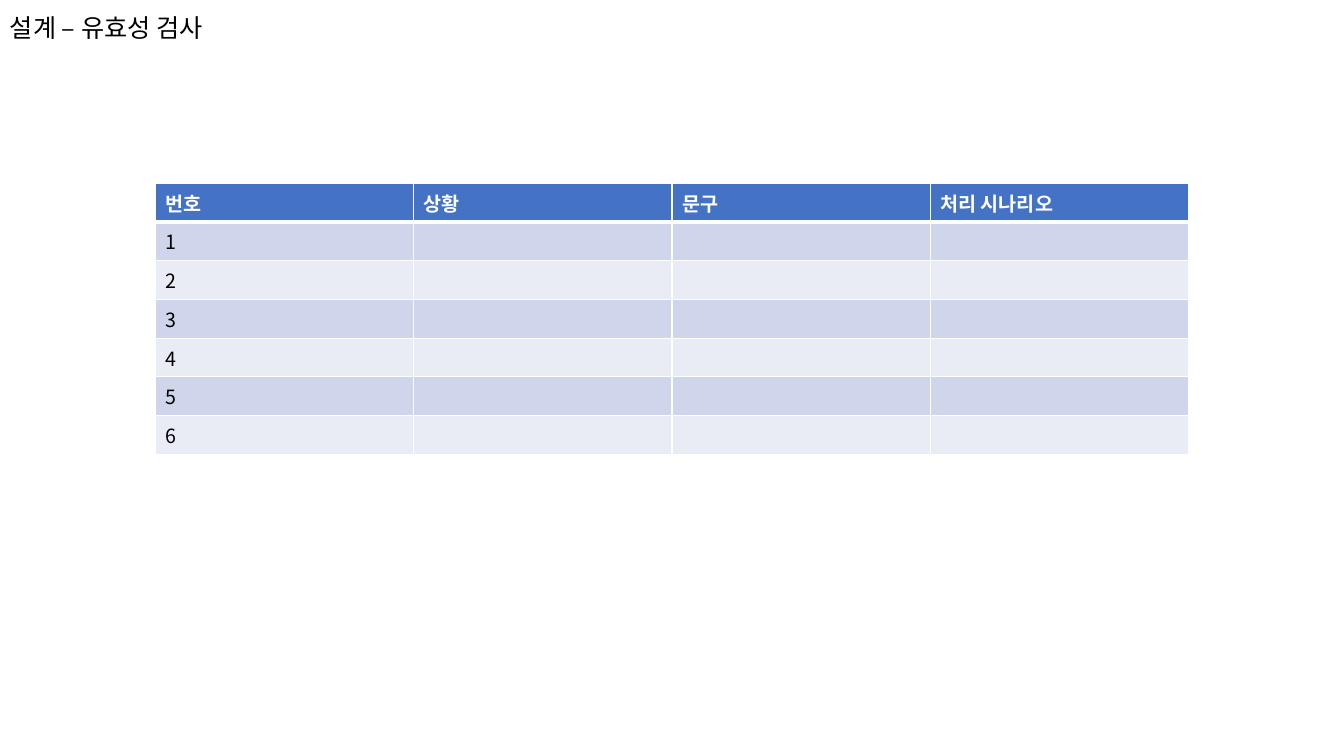
import pptx
import pptx.util
import pptx.dml.color
import pptx.enum.text
import pptx.oxml.ns
from lxml import etree

Pt = pptx.util.Pt
RGBColor = pptx.dml.color.RGBColor
qn = pptx.oxml.ns.qn

WHITE = RGBColor(0xFF, 0xFF, 0xFF)
BLACK = RGBColor(0x00, 0x00, 0x00)
HEADER_BLUE = RGBColor(0x44, 0x72, 0xC4)
BANDS = [RGBColor(0xE9, 0xEB, 0xF5), RGBColor(0xCF, 0xD5, 0xEA)]
FONT = "Noto Sans CJK KR"
HEADINGS = ["번호", "상황", "문구", "처리 시나리오"]
ITEM_COUNT = 6


def write(para, text, size, color, bold=False):
    """Fill a paragraph with one styled run, or size its empty line."""
    if not text:
        etree.SubElement(para._p, qn("a:endParaRPr"), sz=str(size * 100))
        return
    span = para.add_run()
    span.text = text
    for name, value in {"size": Pt(size), "bold": bold, "name": FONT}.items():
        setattr(span.font, name, value)
    span.font.color.rgb = color
    etree.SubElement(span._r.get_or_add_rPr(), qn("a:ea"), typeface=FONT)


def add_borders(cell, widths):
    """Draw white cell borders; widths maps each side to points."""
    for side, width in widths.items():
        line = etree.SubElement(cell._tc.get_or_add_tcPr(), qn("a:ln" + side),
                                w=str(Pt(width)))
        fill = etree.SubElement(line, qn("a:solidFill"))
        etree.SubElement(fill, qn("a:srgbClr"), val=str(WHITE))


deck = pptx.Presentation()
deck.slide_width, deck.slide_height = Pt(960), Pt(540)
page = deck.slides.add_slide(deck.slide_layouts[6])

rows = [HEADINGS] + [[str(number), "", "", ""] for number in range(1, ITEM_COUNT + 1)]
table = page.shapes.add_table(len(rows), len(HEADINGS), Pt(111), Pt(131),
                              Pt(738), Pt(178.5)).table
for column in table.columns:
    column.width = Pt(184.5)

for r, texts in enumerate(rows):
    is_header = r == 0
    table.rows[r].height = Pt(16.6 if is_header else 26)
    for c, text in enumerate(texts):
        cell = table.cell(r, c)
        add_borders(cell, {"L": 1, "R": 1, "T": 3 if r == 1 else 1,
                           "B": 3 if is_header else 1})
        cell.fill.solid()
        cell.fill.fore_color.rgb = HEADER_BLUE if is_header else BANDS[r % 2]
        write(cell.text_frame.paragraphs[0], text, 14,
              WHITE if is_header else BLACK, is_header)

title = page.shapes.add_textbox(Pt(0), Pt(0), Pt(284.4), Pt(42.5)).text_frame
title.word_wrap = True
title.vertical_anchor = pptx.enum.text.MSO_ANCHOR.MIDDLE
title.paragraphs[0].line_spacing = 0.9
write(title.paragraphs[0], "설계 – 유효성 검사", 18, BLACK)

deck.save("out.pptx")
